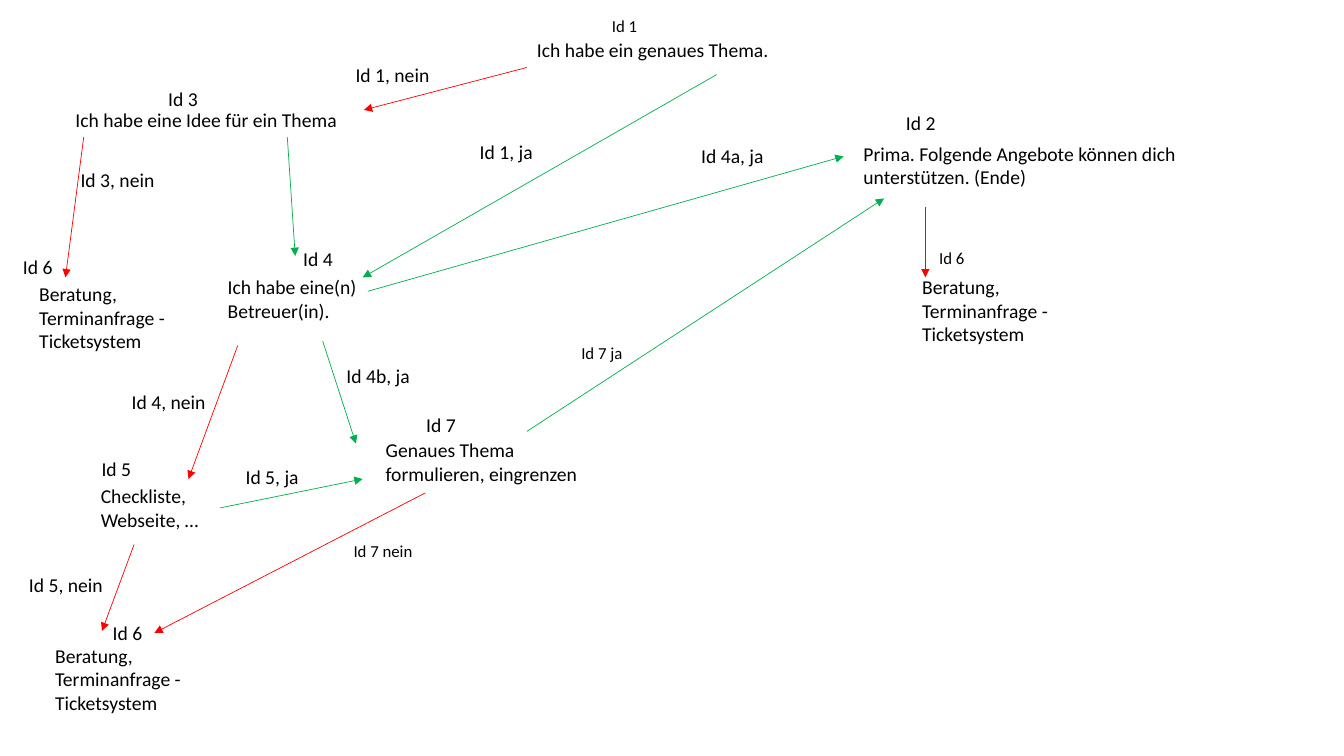
from lxml.etree import SubElement
from pptx import Presentation
from pptx.dml.color import RGBColor
from pptx.enum.shapes import MSO_CONNECTOR
from pptx.enum.text import MSO_AUTO_SIZE, PP_ALIGN
from pptx.oxml.ns import qn
from pptx.util import Cm, Pt

BLACK = RGBColor(0x00, 0x00, 0x00)
GREEN = RGBColor(0x00, 0xB0, 0x50)
RED = RGBColor(0xFF, 0x00, 0x00)

ADVICE = "Beratung, Terminanfrage - Ticketsystem"

STATEMENTS = [
    (13.28, 0.84, 10.44, 1, "Ich habe ein genaues Thema."),
    (1.65, 2.59, 11.18, 1, "Ich habe eine Idee für ein Thema"),
    (5.49, 6.81, 5.97, 2, "Ich habe eine(n) Betreuer(in)."),
    (2.29, 12.07, 4.95, 2, "Checkliste,\nWebseite, …"),
    (9.47, 10.92, 5.61, 2, "Genaues Thema formulieren, eingrenzen"),
    (21.51, 3.45, 10.36, 2, "Prima. Folgende Angebote können dich unterstützen. (Ende)"),
    (0.74, 6.99, 4.06, 3, ADVICE),
    (1.14, 16.1, 4.11, 3, ADVICE),
    (22.99, 6.81, 4.11, 3, ADVICE),
]

LABELS = [
    (8.71, 1.45, 2.77, "Id 1, nein"),
    (11.84, 3.4, 2.57, "Id 1, ja"),
    (22.58, 2.67, 1.47, "Id 2"),
    (3.99, 2.06, 1.5, "Id 3"),
    (1.78, 4.11, 2.62, "Id 3, nein"),
    (7.39, 6.1, 1.4, "Id 4"),
    (3.07, 9.7, 2.64, "Id 4, nein"),
    (17.42, 3.51, 2.36, "Id 4a, ja"),
    (8.48, 9.04, 2.44, "Id 4b, ja"),
    (2.31, 11.4, 1.4, "Id 5"),
    (0.48, 14.3, 2.9, "Id 5, nein"),
    (5.94, 11.58, 2.51, "Id 5, ja"),
    (0.33, 6.3, 1.32, "Id 6"),
    (2.59, 15.52, 1.32, "Id 6"),
    (10.49, 10.29, 1.65, "Id 7"),
]

SMALL_LABELS = [
    (23.42, 6.12, 1.17, "Id 6"),
    (14.4, 8.51, 1.57, "Id 7 ja"),
    (8.66, 13.51, 2.01, "Id 7 nein"),
]

YES_ARROWS = [
    (18.06, 1.88, 9.14, 6.99),
    (7.24, 3.45, 7.44, 6.45),
    (8.13, 8.59, 8.97, 11.18),
    (5.54, 12.8, 9.14, 12.07),
    (9.27, 7.34, 21.26, 3.94),
    (13.28, 10.87, 22.28, 5),
]

NO_ARROWS = [
    (13.28, 1.7, 9.17, 2.77),
    (2.11, 3.45, 1.65, 6.99),
    (5.99, 8.71, 4.75, 12.07),
    (3.38, 13.72, 2.57, 15.9),
    (10.72, 12.42, 3.89, 15.95),
    (23.32, 5.21, 23.32, 6.99),
]


class DecisionSlide:
    font_name = "Calibri"
    font_size = 14
    small_size = 12
    line_width = Pt(0.5)

    def __init__(self, presentation):
        self.slide = presentation.slides.add_slide(presentation.slide_layouts[6])

    def text(self, left, top, width, text, lines=1, size=font_size,
             wrap=True, alignment=PP_ALIGN.LEFT):
        height = 0.25 + lines * size * 0.043
        shape = self.slide.shapes.add_textbox(Cm(left), Cm(top), Cm(width), Cm(height))
        text_frame = shape.text_frame
        text_frame.word_wrap = wrap
        text_frame.auto_size = MSO_AUTO_SIZE.SHAPE_TO_FIT_TEXT
        text_frame.text = text
        for paragraph in text_frame.paragraphs:
            paragraph.alignment = alignment
            for run in paragraph.runs:
                run.font.name = self.font_name
                run.font.size = Pt(size)
                run.font.color.rgb = BLACK

    def arrow(self, start_x, start_y, end_x, end_y, color):
        connector = self.slide.shapes.add_connector(
            MSO_CONNECTOR.STRAIGHT, Cm(start_x), Cm(start_y), Cm(end_x), Cm(end_y))
        connector.line.color.rgb = color
        connector.line.width = self.line_width
        SubElement(connector.line._get_or_add_ln(), qn("a:tailEnd"), type="triangle")
        SubElement(connector._element.spPr, qn("a:effectLst"))


def main():
    presentation = Presentation()
    presentation.slide_width = Cm(33.87)
    presentation.slide_height = Cm(19.05)
    decisions = DecisionSlide(presentation)

    for color, arrows in ((GREEN, YES_ARROWS), (RED, NO_ARROWS)):
        for ends in arrows:
            decisions.arrow(*ends, color)
    for left, top, width, lines, text in STATEMENTS:
        decisions.text(left, top, width, text, lines)
    for label in LABELS:
        decisions.text(*label)
    for label in SMALL_LABELS:
        decisions.text(*label, size=decisions.small_size, wrap=False)
    decisions.text(15.09, 0.28, 1.3, "Id 1", size=decisions.small_size,
                   alignment=PP_ALIGN.CENTER)

    presentation.save("out.pptx")


if __name__ == "__main__":
    main()
